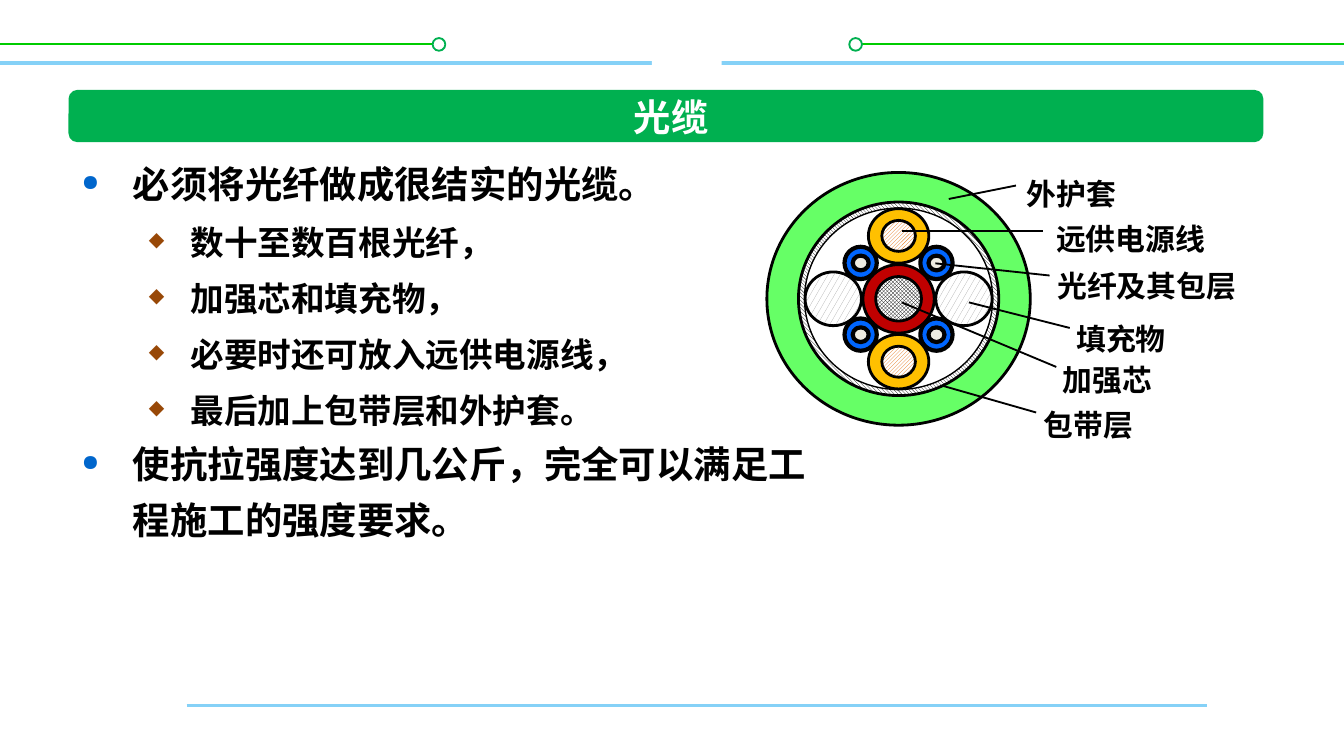
import pptx
import pptx.dml.color
import pptx.enum.dml
import pptx.enum.shapes
import pptx.enum.text
import pptx.oxml.ns
import pptx.util
import lxml.etree

Pt = pptx.util.Pt
SHAPE = pptx.enum.shapes.MSO_SHAPE
PATTERN = pptx.enum.dml.MSO_PATTERN
qn = pptx.oxml.ns.qn

THEME = {
    "font": "Noto Sans CJK SC",
    "title_size": 20, "level_sizes": (20, 18), "label_size": 16,
    "ink": "000000", "paper": "FFFFFF",
    "banner": "00B050", "circuit": "00CC00", "rule": "85D1F7",
    "bullet_colors": ("0066CC", "984807"),
    "jacket": "66FF66", "core_ring": "C00000", "power": "FFC000",
    "power_core": "E46C0A", "filler": "A6A6A6",
    "fibre": "0066FF", "fibre_core": "EEECE1",
}

TITLE = "光缆"
POINTS = [
    (0, "必须将光纤做成很结实的光缆。"),
    (1, "数十至数百根光纤，"),
    (1, "加强芯和填充物，"),
    (1, "必要时还可放入远供电源线，"),
    (1, "最后加上包带层和外护套。"),
    (0, "使抗拉强度达到几公斤，完全可以满足工程施工的强度要求。"),
]
BULLETS = [("●", 27.4, 27.4), ("◆", 58.3, 22.3)]
LINE_SPACING = 30

CABLE_LABELS = [
    ("外护套", (542.9, 90.7, 63.4), (508.3, 106.6), (544.3, 99.4)),
    ("远供电源线", (558.7, 114.5, 95), (483.1, 123.8), (558.7, 123.8)),
    ("光纤及其包层", (559.4, 139.7, 111.6), (501.1, 141.1), (562.3, 147.6)),
    ("填充物", (569.5, 168.5, 63.4), (519.1, 162), (573.1, 175.7)),
    ("加强芯", (562.3, 190.1, 63.4), (483.1, 162), (565.9, 196.6)),
    ("包带层", (552.2, 214.6, 63.4), (504.7, 206.6), (555.1, 221)),
]
LABEL_HEIGHT = 26.6

CABLE_CENTER = (481.4, 160.1)
CENTERED = [(0, 0)]
BESIDE = [(-35, 0), (35, 0)]
ABOVE_BELOW = [(0, -33.7), (0, 33.7)]
DIAGONAL = [(x, y) for x in (-20.3, 20.3) for y in (-19.2, 19.2)]
CABLE_LAYERS = [
    (CENTERED, (141.1, 135.4), "jacket", None, 1.5),
    (CENTERED, (107.3, 103.7), "ink", PATTERN.DARK_DOWNWARD_DIAGONAL, 1.5),
    (CENTERED, (100.8, 97.2), "paper", None, 0.75),
    (CENTERED, (38.2, 36.7), "core_ring", None, 1.5),
    (CENTERED, (24.5, 23.8), "ink", PATTERN.SMALL_CHECKER_BOARD, 1.5),
    (BESIDE, (30.2, 28.8), "filler", PATTERN.LARGE_CONFETTI, 1.5),
    (ABOVE_BELOW, (32.4, 29.2), "power", None, 1.5),
    (ABOVE_BELOW, (18, 16.6), "power_core", PATTERN.DARK_UPWARD_DIAGONAL, 1.5),
    (DIAGONAL, (17.3, 17.3), "fibre", None, 2.25),
    (DIAGONAL, (8.6, 7.9), "fibre_core", None, 2.25),
]

deck = pptx.Presentation()
deck.slide_width, deck.slide_height = Pt(720), Pt(405)
slide = deck.slides.add_slide(deck.slide_layouts[6])


def color(value):
    return pptx.dml.color.RGBColor.from_string(value)


def add_line(start, end, stroke, width):
    line = slide.shapes.add_connector(
        pptx.enum.shapes.MSO_CONNECTOR.STRAIGHT, *map(Pt, start + end))
    line.line.color.rgb = color(stroke)
    line.line.width = Pt(width)
    lxml.etree.SubElement(line._element.spPr, qn("a:effectLst"))


def add_solid(kind, box, fill, stroke=None, width=1, pattern=None):
    solid = slide.shapes.add_shape(kind, *map(Pt, box))
    solid.shadow.inherit = False
    if pattern is None:
        solid.fill.solid()
        solid.fill.fore_color.rgb = color(fill)
    else:
        solid.fill.patterned()
        solid.fill.pattern = pattern
        solid.fill.fore_color.rgb = color(fill)
        solid.fill.back_color.rgb = color(THEME["paper"])
    if stroke is None:
        solid.line.fill.background()
    else:
        solid.line.color.rgb = color(stroke)
        solid.line.width = Pt(width)
    return solid


def add_text_frame(box, wrap=True):
    frame = slide.shapes.add_textbox(*map(Pt, box)).text_frame
    frame.word_wrap = wrap
    return frame


def write(paragraph, words, size, ink):
    paragraph.text = words
    font = paragraph.font
    font.size, font.bold = Pt(size), True
    font.color.rgb = color(ink)
    font.name = THEME["font"]
    defaults = paragraph._p.get_or_add_pPr().find(qn("a:defRPr"))
    lxml.etree.SubElement(defaults, qn("a:ea"), typeface=THEME["font"])


def add_bullet(paragraph, level):
    mark, margin, hanging = BULLETS[level]
    properties = paragraph._p.get_or_add_pPr()
    properties.set("marL", str(Pt(margin)))
    properties.set("indent", str(-Pt(hanging)))
    tint = lxml.etree.SubElement(properties, qn("a:buClr"))
    lxml.etree.SubElement(tint, qn("a:srgbClr"), val=THEME["bullet_colors"][level])
    lxml.etree.SubElement(properties, qn("a:buSzPct"), val="60000")
    lxml.etree.SubElement(properties, qn("a:buChar"), char=mark)


for line_start, line_end, node_left in [(0, 233.3, 231.8), (455, 720, 455)]:
    add_line((line_start, 23.8), (line_end, 23.8), THEME["circuit"], 1)
    add_solid(SHAPE.OVAL, (node_left, 20.4, 6.8, 6.8), THEME["paper"], THEME["banner"])
add_line((100, 378), (646.6, 378), THEME["rule"], 1.5)
add_line((0, 33.8), (720, 33.8), THEME["rule"], 2)
add_solid(SHAPE.RECTANGLE, (349.2, 10.1, 37.4, 36.7), THEME["paper"])
banner = add_solid(SHAPE.ROUNDED_RECTANGLE, (36.7, 48.2, 640.1, 28), THEME["banner"])
banner.adjustments[0] = 0.17

body = add_text_frame((36.7, 77, 415.4, 249.8))
for index, (level, words) in enumerate(POINTS):
    point = body.add_paragraph() if index else body.paragraphs[0]
    point.level = level
    point.line_spacing = Pt(LINE_SPACING)
    add_bullet(point, level)
    write(point, words, THEME["level_sizes"][level], THEME["ink"])

title = add_text_frame((98.6, 48.2, 522, 28))
title.vertical_anchor = pptx.enum.text.MSO_ANCHOR.MIDDLE
title.paragraphs[0].alignment = pptx.enum.text.PP_ALIGN.CENTER
write(title.paragraphs[0], TITLE, THEME["title_size"], THEME["paper"])

for offsets, (width, height), fill, pattern, outline in CABLE_LAYERS:
    for dx, dy in offsets:
        left = CABLE_CENTER[0] + dx - width / 2
        top = CABLE_CENTER[1] + dy - height / 2
        add_solid(SHAPE.OVAL, (left, top, width, height), THEME[fill],
                  THEME["ink"], outline, pattern)

for words, (left, top, width), part, label_edge in CABLE_LABELS:
    label = add_text_frame((left, top, width, LABEL_HEIGHT), wrap=False)
    write(label.paragraphs[0], words, THEME["label_size"], THEME["ink"])
    add_line(part, label_edge, THEME["ink"], 1)

deck.save("out.pptx")
